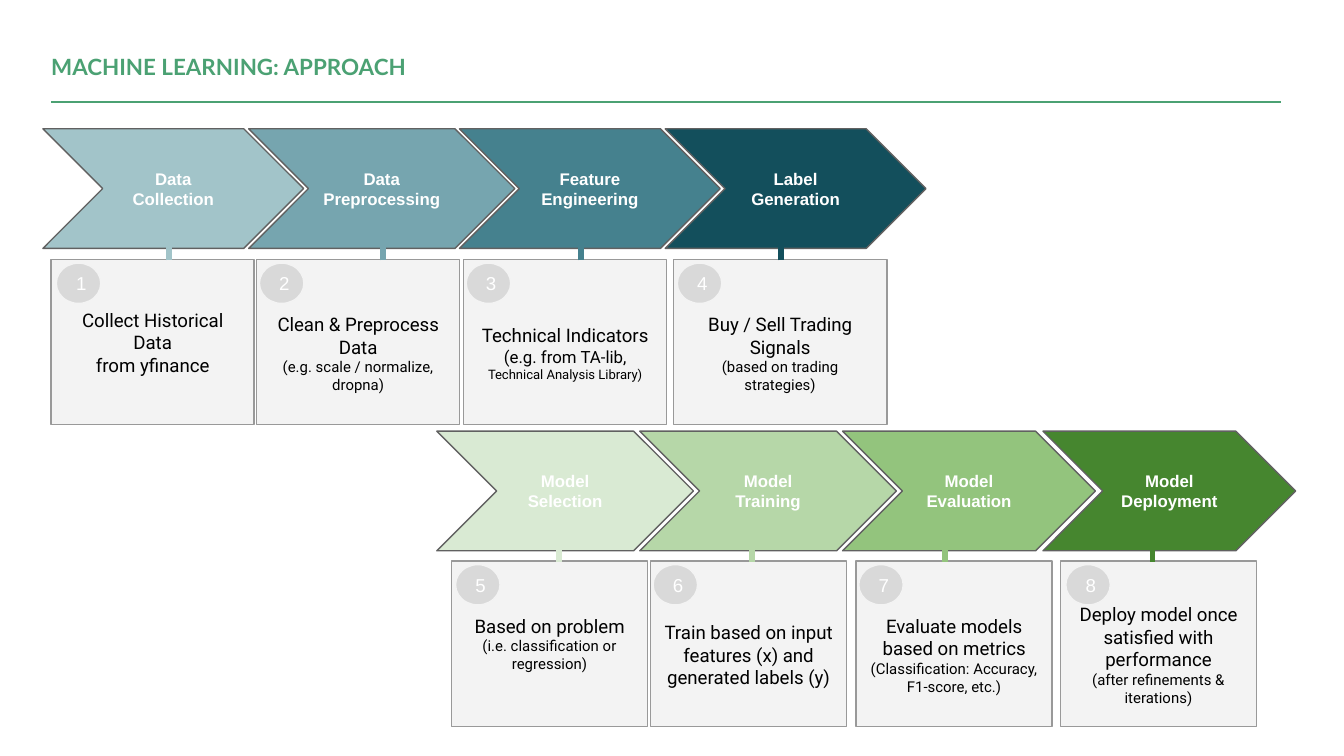
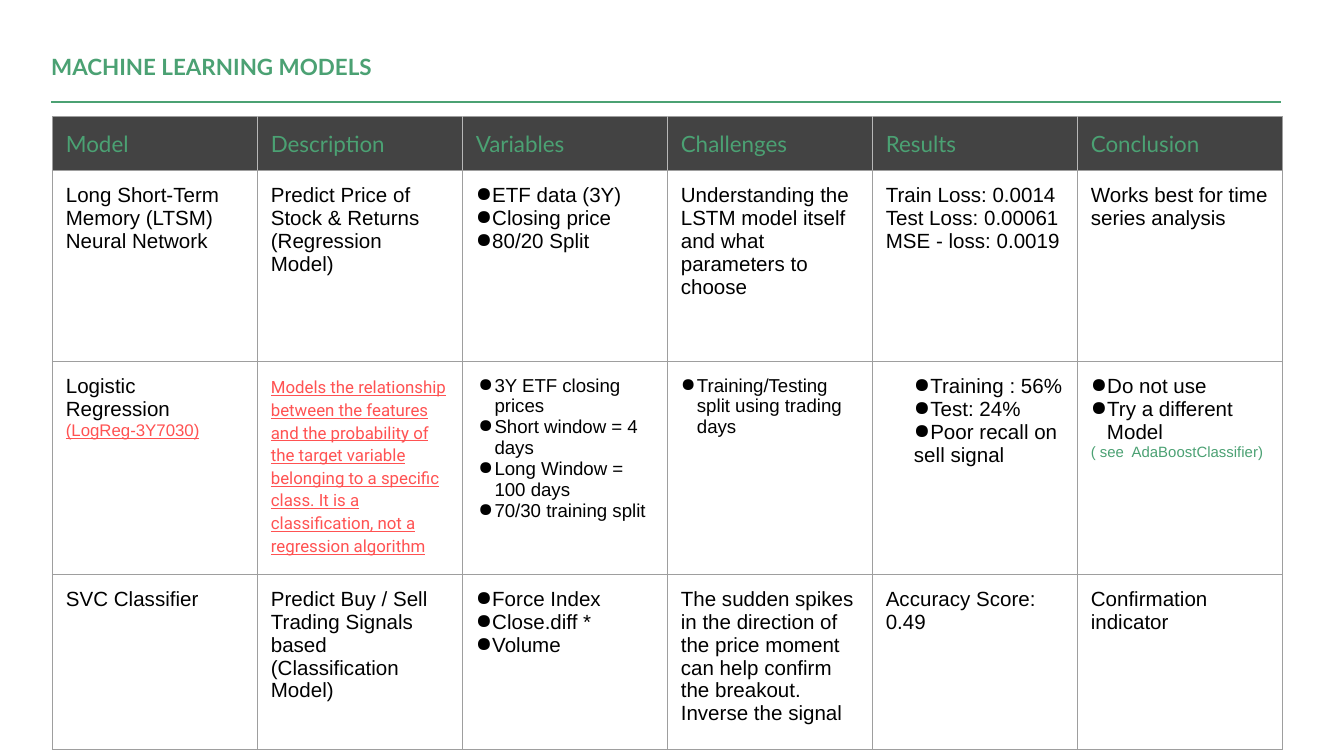
from lxml import etree
from pptx import Presentation
from pptx import util as u
from pptx.dml.color import RGBColor
from pptx.enum import shapes, text
from pptx.oxml import ns

Pt = u.Pt
GREEN = RGBColor(0x4B, 0xA1, 0x73)
RED = RGBColor(0xFF, 0x52, 0x52)
BLACK = RGBColor(0, 0, 0)
WHITE = RGBColor(0xFF, 0xFF, 0xFF)
PANEL = RGBColor(0xF3, 0xF3, 0xF3)
PANEL_EDGE = RGBColor(0x99, 0x99, 0x99)
BADGE = RGBColor(0xD9, 0xD9, 0xD9)
CHEVRON_EDGE = RGBColor(0x61, 0x61, 0x61)
HEADER = RGBColor(0x43, 0x43, 0x43)
TEALS = [RGBColor(0xA2, 0xC4, 0xC9), RGBColor(0x76, 0xA5, 0xAF),
         RGBColor(0x45, 0x81, 0x8E), RGBColor(0x13, 0x4F, 0x5C)]
GREENS = [RGBColor(0xD9, 0xEA, 0xD3), RGBColor(0xB6, 0xD7, 0xA8),
          RGBColor(0x93, 0xC4, 0x7D), RGBColor(0x46, 0x86, 0x2F)]
MARGIN = 7.2

prs = Presentation()
prs.slide_width, prs.slide_height = Pt(720), Pt(405)


def add_line(s, x1, y1, x2, y2, color, width):
    c = s.shapes.add_connector(shapes.MSO_CONNECTOR.STRAIGHT,
                               Pt(x1), Pt(y1), Pt(x2), Pt(y2))
    c.line.color.rgb = color
    c.line.width = Pt(width)
    etree.SubElement(c._element.spPr, ns.qn("a:effectLst"))


def add_box(s, kind, x, y, w, h, fill, edge, paras, font, color,
            bold=False, align=text.PP_ALIGN.CENTER, top=MARGIN):
    sp = s.shapes.add_shape(kind, Pt(x), Pt(y), Pt(w), Pt(h))
    sp.shadow.inherit = False
    sp.fill.solid()
    sp.fill.fore_color.rgb = fill
    sp.line.color.rgb = edge
    sp.line.width = Pt(0.75)
    tf = sp.text_frame
    tf.word_wrap = True
    tf.vertical_anchor = text.MSO_ANCHOR.MIDDLE
    tf.margin_left = tf.margin_right = tf.margin_bottom = Pt(MARGIN)
    tf.margin_top = Pt(top)
    for i, runs in enumerate(paras):
        p = tf.add_paragraph() if i else tf.paragraphs[0]
        p.alignment = align
        for words, size in runs:
            r = p.add_run()
            r.text = words
            r.font.size = Pt(size)
            r.font.name = font
            r.font.bold = bold
            r.font.color.rgb = color


slides = []
for title in ["MACHINE LEARNING: APPROACH", "MACHINE LEARNING MODELS"]:
    s = prs.slides.add_slide(prs.slide_layouts[6])
    tf = s.shapes.add_textbox(Pt(27.4), Pt(27.4), Pt(305.3), Pt(13.7)).text_frame
    tf.word_wrap = True
    tf.vertical_anchor = text.MSO_ANCHOR.MIDDLE
    tf.margin_left = tf.margin_right = tf.margin_top = tf.margin_bottom = 0
    tf.text = title
    p = tf.paragraphs[0]
    p.line_spacing = 1.2
    f = p.runs[0].font
    f.size, f.name, f.bold = Pt(12), "Lato", True
    f.color.rgb = GREEN
    add_line(s, 27.4, 54.7, 686.2, 54.7, GREEN, 0.75)
    slides.append(s)

approach, models = slides

# Each step: label, chevron x and width, panel x and width, stem x, badge x, extra top, text
data_steps = [
    ("Data Collection", 23, 139.7, 27.4, 108.7, 90.7, 30.2, 0,
     [[("Collect Historical Data", 10)], [("from yfinance", 10)]]),
    ("Data Preprocessing", 133.2, 142.6, 137.5, 108.7, 205.2, 139, 12,
     [[("Clean & Preprocess Data", 10)], [("(e.g. scale / normalize, dropna)", 8)]]),
    ("Feature Engineering", 246.2, 139.7, 248.4, 108.7, 311.4, 249.8, 12,
     [[("Technical Indicators ", 10), ("(e.g. from TA-lib,", 9)],
      [("Technical Analysis Library)", 7)]]),
    ("Label Generation", 356.4, 139.7, 360.7, 114.5, 418.3, 362.9, 12,
     [[("Buy / Sell Trading Signals", 10)], [("(based on trading strategies)", 8)]]),
]
model_steps = [
    ("Model Selection", 234, 137.5, 241.9, 105.1, 299.5, 244.1, 0,
     [[("Based on problem ", 10), ("(i.e. classification or regression)", 8)]]),
    ("Model Training", 342.7, 137.5, 348.5, 105.1, 402.8, 349.9, 12,
     [[("Train based on input features (x) and generated labels (y)", 10)]]),
    ("Model Evaluation", 451.4, 135.4, 458.6, 105.1, 506.2, 460.1, 12,
     [[("Evaluate models based on metrics ", 10),
       ("(Classification: Accuracy, F1-score, etc.)", 8)]]),
    ("Model Deployment", 558.7, 135.4, 568.1, 105.1, 617.4, 571, 12,
     [[("Deploy model once satisfied with performance", 10)],
      [("(after refinements & iterations)", 8)]]),
]

number = 1
for steps, colors, chevron_y, panel_y in [(data_steps, TEALS, 69, 139),
                                          (model_steps, GREENS, 231, 300.5)]:
    for label, cx, cw, px, pw, stem_x, badge_x, extra, paras in steps:
        add_box(approach, shapes.MSO_SHAPE.RECTANGLE, px, panel_y, pw, 88.6,
                PANEL, PANEL_EDGE, paras, "Roboto", BLACK, top=MARGIN + extra)
    for step, color in zip(steps, colors):
        label, cx, cw, px, pw, stem_x, badge_x = step[:7]
        add_box(approach, shapes.MSO_SHAPE.CHEVRON, cx, chevron_y, cw, 64.1,
                color, CHEVRON_EDGE, [[(label, 9)]], "Arial", WHITE, bold=True)
        add_line(approach, stem_x, panel_y + 0.5, stem_x, panel_y - 22, color, 3)
        add_box(approach, shapes.MSO_SHAPE.OVAL, badge_x, panel_y + 2, 23.8, 21.6,
                BADGE, PANEL, [[(str(number), 10)]], "Arial", WHITE,
                align=text.PP_ALIGN.LEFT)
        number += 1

rows = [
    ["Model", "Description", "Variables", "Challenges", "Results", "Conclusion"],
    ["Long Short-Term Memory (LTSM) Neural Network",
     "Predict Price of Stock & Returns (Regression Model)",
     "●ETF data (3Y)\n●Closing price\n●80/20 Split",
     "Understanding the LSTM model itself and what parameters to choose",
     "Train Loss: 0.0014\nTest Loss: 0.00061\nMSE - loss: 0.0019",
     "Works best for time series analysis"],
    ["Logistic Regression\n(LogReg-3Y7030)",
     "Models the relationship between the features and the probability of the target "
     "variable belonging to a specific class. It is a classification, not a "
     "regression algorithm",
     "●3Y ETF closing prices\n●Short window = 4 days\n●Long Window = 100 days\n"
     "●70/30 training split",
     "●Training/Testing split using trading days",
     "●Training : 56%\n●Test: 24%\n●Poor recall on sell signal",
     "●Do not use\n●Try a different Model\n( see  AdaBoostClassifier)"],
    ["SVC Classifier",
     "Predict Buy / Sell Trading Signals based (Classification Model)",
     "●Force Index\n●Close.diff *\n●Volume",
     "The sudden spikes in the direction of the price moment can help confirm the "
     "breakout. Inverse the signal",
     "Accuracy Score: 0.49",
     "Confirmation indicator"],
]
special = {
    (2, 0, 1): (9, "Arial", RED),
    (2, 1, 0): (9, "Roboto", RED),
    (2, 5, 2): (8, "Arial", GREEN),
}
special.update({(2, 2, k): (10, "Arial", BLACK) for k in range(4)})
special[2, 3, 0] = (10, "Arial", BLACK)
left_margins = {(2, 2): 8.6, (2, 4): 22.3}

heights = [28.8, 102.4, 100.8, 93.6]
tbl = models.shapes.add_table(4, 6, Pt(28.1), Pt(62.6), Pt(659), Pt(sum(heights))).table
tbl.horz_banding = False
tbl.first_row = False
for col in tbl.columns:
    col.width = Pt(109.83)
for i, row in enumerate(rows):
    tbl.rows[i].height = Pt(heights[i])
    for j, words in enumerate(row):
        cell = tbl.cell(i, j)
        cell.margin_left = Pt(left_margins.get((i, j), MARGIN))
        cell.margin_right = cell.margin_top = cell.margin_bottom = Pt(MARGIN)
        if i:
            cell.fill.background()
        else:
            cell.fill.solid()
            cell.fill.fore_color.rgb = HEADER
        cell.text_frame.text = words.replace("●", "")
        for k, line in enumerate(words.split("\n")):
            p = cell.text_frame.paragraphs[k]
            default = (11, "Arial", BLACK) if i else (12, "Lato", GREEN)
            size, font, color = special.get((i, j, k), default)
            f = p.runs[0].font
            f.size, f.name = Pt(size), font
            f.color.rgb = color
            if color == RED:
                f.underline = True
            if font == "Roboto":
                p.line_spacing = 1.15
            if line.startswith("●"):
                pPr = p._p.get_or_add_pPr()
                pPr.set("marL", str(Pt(0 if (i, j) == (2, 4) else 8.64)))
                pPr.set("indent", str(Pt(-13.7 if size == 10 else -14.4)))
                bu = etree.SubElement(pPr, ns.qn("a:buClr"))
                etree.SubElement(bu, ns.qn("a:srgbClr"), val=str(BLACK))
                etree.SubElement(pPr, ns.qn("a:buChar"), char="●")
        tcPr = cell._tc.get_or_add_tcPr()
        for n, side in enumerate("LRTB"):
            inner = i == 0 and ((side == "L" and j > 0) or (side == "R" and j < 5))
            ln = etree.Element(ns.qn("a:ln" + side), w=str(Pt(0.75)))
            sf = etree.SubElement(ln, ns.qn("a:solidFill"))
            etree.SubElement(sf, ns.qn("a:srgbClr"), val="B7B7B7" if inner else "9E9E9E")
            tcPr.insert(n, ln)

prs.save("out.pptx")
